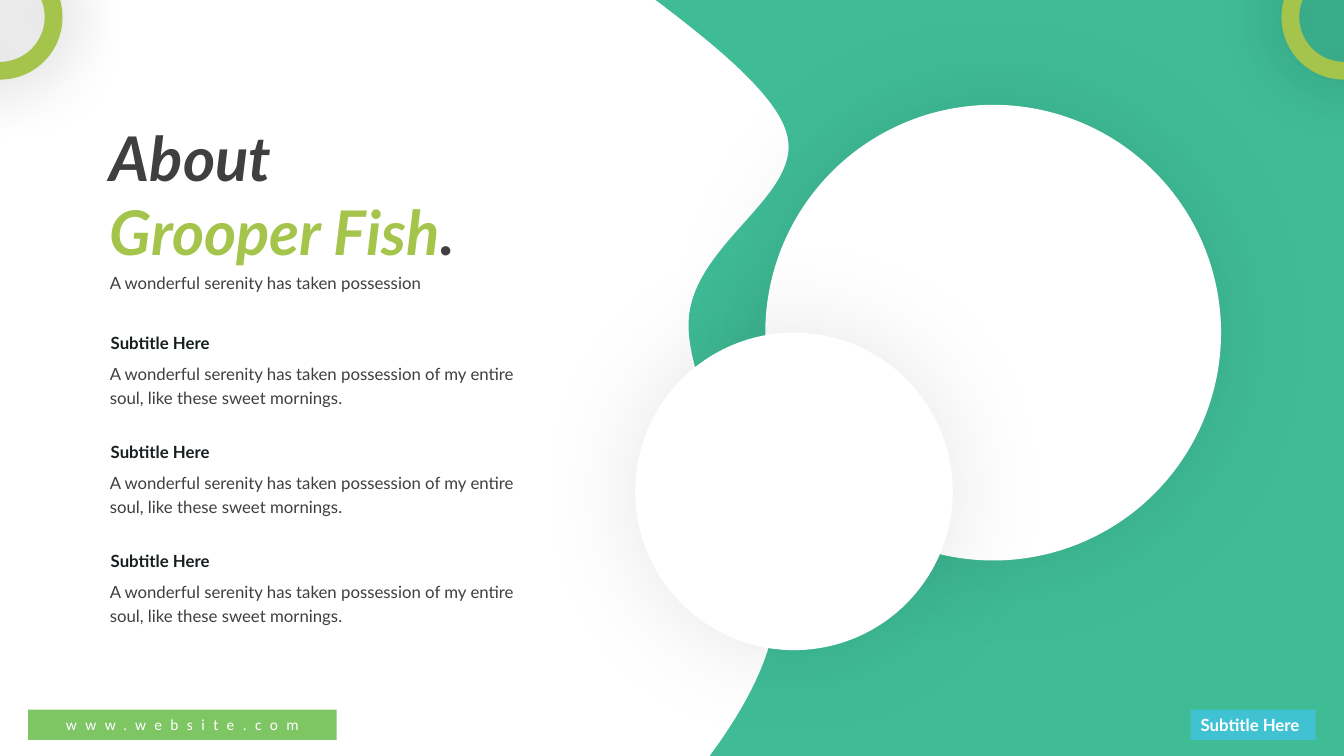
from lxml import etree
from pptx import Presentation
from pptx.dml.color import RGBColor
from pptx.enum.shapes import MSO_SHAPE
from pptx.enum.text import MSO_ANCHOR, MSO_AUTO_SIZE, PP_ALIGN
from pptx.oxml.ns import qn
from pptx.util import Inches, Pt

OVAL, DONUT = MSO_SHAPE.OVAL, MSO_SHAPE.DONUT
RECTANGLE, ROUNDED = MSO_SHAPE.RECTANGLE, MSO_SHAPE.ROUNDED_RECTANGLE
TOP, MIDDLE = MSO_ANCHOR.TOP, MSO_ANCHOR.MIDDLE
LEFT, CENTER = PP_ALIGN.LEFT, PP_ALIGN.CENTER
NO_RESIZE = MSO_AUTO_SIZE.NONE

WIDTH, HEIGHT = 13.33, 7.5
TEAL, LIME, GREEN, BLUE = "3FBC96", "A5C44B", "7EC564", "40C2D2"
WHITE, GREY, INK = "FFFFFF", "3F3F3F", "181E20"

WAVE_START = (6.53, 0.02)
WAVE_CURVES = [
    ((7.04, 0.41), (7.72, 0.94), (7.81, 1.35)),
    ((7.95, 1.95), (6.85, 2.43), (6.83, 3.2)),
    ((6.81, 3.97), (7.71, 5.19), (7.7, 5.98)),
    ((7.69, 6.47), (7.41, 6.97), (7.14, 7.36)),
]
CURVE_STEPS = 30
SUMMARY = "A wonderful serenity has taken possession"
DETAIL = SUMMARY + " of my entire soul, like these sweet mornings."
SECTION_TOP, SECTION_STEP, SECTION_COUNT = 3.19, 1.08, 3


def color(hex_value):
    """Return the RGB colour for a hex string."""
    return RGBColor.from_string(hex_value)


def paint(shape, fill):
    """Give a shape a plain fill with no line or shadow."""
    shape.fill.solid()
    shape.fill.fore_color.rgb = color(fill)
    shape.line.fill.background()
    shape.shadow.inherit = False


def add_glow(shape, opacity, blur):
    """Add a soft black shadow centred behind a shape."""
    effects = shape._element.spPr.find(qn("a:effectLst"))
    shadow = etree.SubElement(effects, qn("a:outerShdw"), blurRad=str(Pt(blur)),
                              dist="0", dir="0", algn="ctr", rotWithShape="0")
    shade = etree.SubElement(shadow, qn("a:srgbClr"), val="000000")
    etree.SubElement(shade, qn("a:alpha"), val=str(opacity * 1000))


def add_preset(slide, kind, left, top, width, height, fill, adjustment=None):
    """Add a painted preset shape."""
    shape = slide.shapes.add_shape(kind, Inches(left), Inches(top), Inches(width), Inches(height))
    paint(shape, fill)
    if adjustment is not None:
        shape.adjustments[0] = adjustment
    return shape


def write(shape, *lines, size=12, font="Lato", bold=None, italic=None, align=LEFT,
          anchor=TOP, spacing=1.0, tracking=None, wrap=True):
    """Write lines, each a list of (text, colour) runs, into a shape."""
    frame = shape.text_frame
    frame.word_wrap = wrap
    frame.auto_size = NO_RESIZE
    frame.vertical_anchor = anchor
    for index, line in enumerate(lines):
        paragraph = frame.add_paragraph() if index else frame.paragraphs[0]
        paragraph.alignment = align
        paragraph.line_spacing = spacing
        for text, hex_value in line:
            run = paragraph.add_run()
            run.text = text
            run.font.name = font
            run.font.size = Pt(size)
            run.font.bold = bold
            run.font.italic = italic
            run.font.color.rgb = color(hex_value)
            if tracking:
                run.font._element.set("spc", str(tracking * 100))


def add_text(slide, left, top, width, height, text, hex_value, **text_format):
    """Add a text box holding one run."""
    box = slide.shapes.add_textbox(Inches(left), Inches(top), Inches(width), Inches(height))
    write(box, [(text, hex_value)], **text_format)


def curve_points(start, first, second, end):
    """Return evenly stepped points along a cubic curve."""
    points = []
    for step in range(1, CURVE_STEPS + 1):
        t = step / CURVE_STEPS
        weights = ((1 - t) ** 3, 3 * t * (1 - t) ** 2, 3 * t * t * (1 - t), t ** 3)
        points.append(tuple(sum(weight * point[axis] for weight, point
                                in zip(weights, (start, first, second, end)))
                            for axis in (0, 1)))
    return points


def add_wave(slide):
    """Add the teal panel with the wavy left edge."""
    points = [WAVE_START]
    for curve in WAVE_CURVES:
        points += curve_points(points[-1], *curve)
    points += [(7.04, HEIGHT), (WIDTH, HEIGHT), (WIDTH, 0)]
    builder = slide.shapes.build_freeform(Inches(6.5), 0)
    builder.add_line_segments([(Inches(x), Inches(y)) for x, y in points])
    paint(builder.convert_to_shape(), TEAL)


def add_title(slide):
    """Place and fill the title placeholder."""
    title = slide.shapes.title
    title.left, title.top = Inches(0.99), Inches(1.14)
    title.width, title.height = Inches(5.22), Inches(1.58)
    write(title, [("About", GREY)], [("Grooper Fish", LIME), (".", GREY)],
          size=44, bold=True, italic=True)


def main():
    """Build and save the slide."""
    presentation = Presentation()
    presentation.slide_width, presentation.slide_height = Inches(WIDTH), Inches(HEIGHT)
    slide = presentation.slides.add_slide(presentation.slide_layouts[5])

    add_wave(slide)
    for left, top, diameter in ((7.59, 1.04, 4.52), (6.3, 3.3, 3.15)):
        add_glow(add_preset(slide, OVAL, left, top, diameter, diameter, WHITE), 9, 77)

    add_title(slide)
    add_text(slide, 0.99, 2.56, 4.42, 0.37, SUMMARY, GREY, spacing=1.5)
    for section in range(SECTION_COUNT):
        top = SECTION_TOP + section * SECTION_STEP
        add_text(slide, 1, top, 1.26, 0.34, "Subtitle Here", INK, bold=True, spacing=1.3)
        add_text(slide, 0.99, top + 0.33, 4.41, 0.56, DETAIL, GREY, spacing=1.2)

    tag = add_preset(slide, RECTANGLE, 11.81, 7.04, 1.24, 0.3, BLUE)
    write(tag, [("Subtitle Here", WHITE)], bold=True, wrap=False)
    website = add_preset(slide, ROUNDED, 0.28, 7.04, 3.06, 0.3, GREEN, 0)
    write(website, [("www.website.com", WHITE)], size=11, font="Calibri",
          align=CENTER, anchor=MIDDLE, tracking=6)

    for left in (-0.62, 12.71):
        add_glow(add_preset(slide, DONUT, left, -0.45, 1.24, 1.24, LIME, 0.142), 33, 49)

    presentation.save("out.pptx")


if __name__ == "__main__":
    main()
